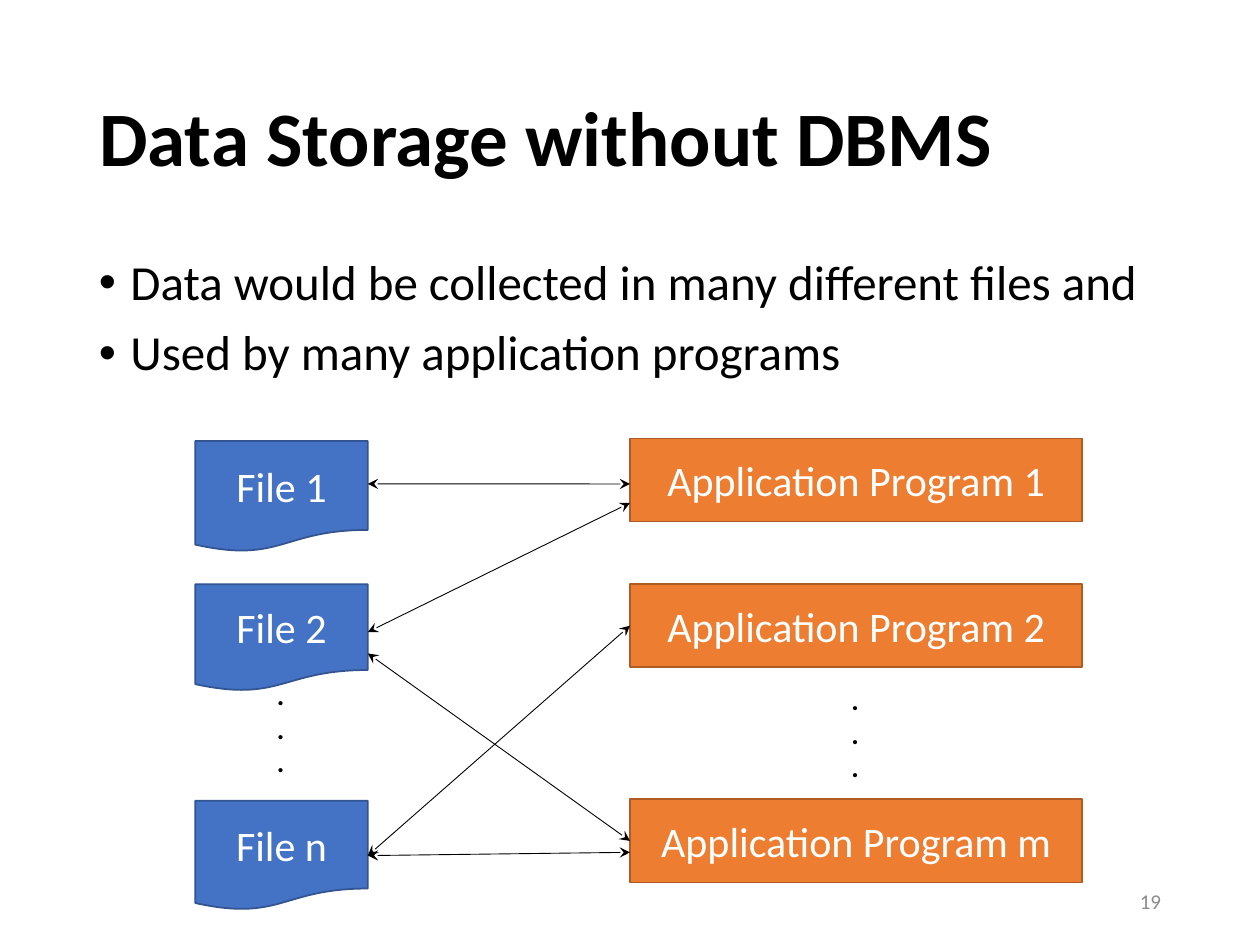
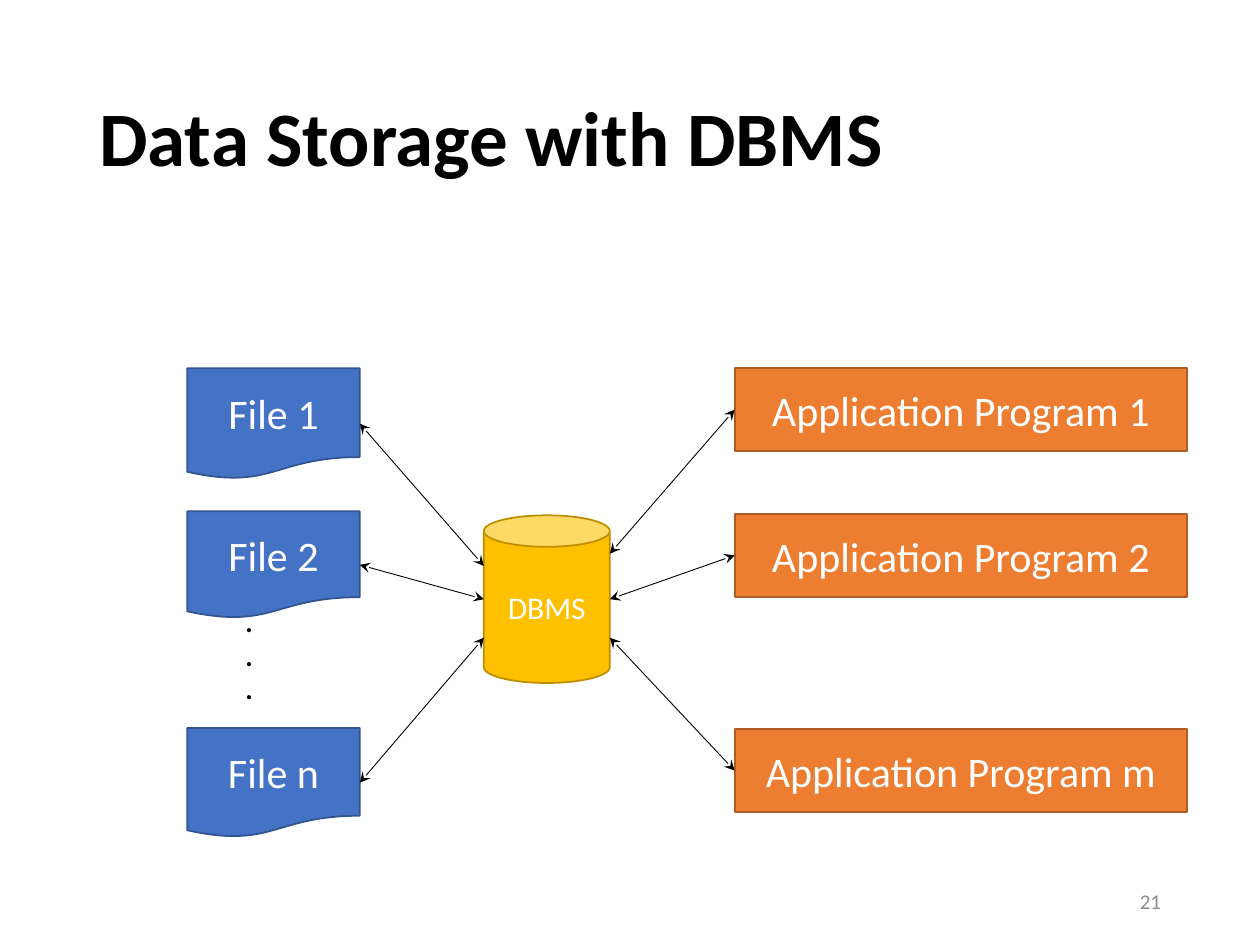
import lxml.etree
import pptx
import pptx.dml.color
import pptx.enum.shapes
import pptx.enum.text
import pptx.oxml.ns
import pptx.util

Pt = pptx.util.Pt
qn = pptx.oxml.ns.qn
KIND = pptx.enum.shapes.MSO_SHAPE
ALIGN = pptx.enum.text.PP_ALIGN
MIDDLE = pptx.enum.text.MSO_ANCHOR.MIDDLE
FIT = pptx.enum.text.MSO_AUTO_SIZE

FONT = "Calibri"
HEX = {
    "ink": "000000", "white": "FFFFFF", "grey": "8C8C8C",
    "file": "4472C4", "file edge": "325491",
    "app": "ED7D31", "app edge": "AF5C24",
    "base": "FFC000", "base edge": "BD8E00",
}
COLOR = {name: pptx.dml.color.RGBColor.from_string(code) for name, code in HEX.items()}

LEFT, RIGHT = 1, 3  # connection sites
FILES = [("File 1", 0, 63.4), ("File 2", 81.8, 61.2), ("File n", 205.6, 62.6)]
APPS = [("Application Program 1", 0), ("Application Program 2", 83.2),
        ("Application Program m", 206.2)]
FILE_W, APP_W, APP_H = 98.6, 258.5, 47.5

# Per slide: title, number, file corner, app corner, corners of the dots
SLIDES = [
    ("Data Storage without DBMS", "19", (111.6, 252), (360, 250.6),
     [(151.2, 383.8), (479.5, 386.6)]),
    ("Data Storage with DBMS", "21", (107, 210.4), (419.8, 210.4),
     [(133.2, 342)]),
]
BULLETS = ["Data would be collected in many different files and",
           "Used by many application programs"]

# App, shift from its middle, file, shift from its middle
DIRECT = [(0, 2.2, 0, -7.2), (0, 13, 1, -3.2), (2, 0, 1, 9),
          (1, 0, 2, 0), (2, 6.5, 2, 0)]
# Side of the database and the shift for each row
HUB = {LEFT: (-19, 0, 22), RIGHT: (-26, 0, 22)}


def write(shape, lines, size, color, bold=False, align=ALIGN.LEFT):
    frame = shape.text_frame
    for i, line in enumerate(lines):
        para = frame.add_paragraph() if i else frame.paragraphs[0]
        para.alignment = align
        run = para.add_run()
        run.text = line
        run.font.name, run.font.size, run.font.bold = FONT, Pt(size), bold
        run.font.color.rgb = COLOR[color]
    return frame


def link(slide, *ends):
    """Draw a two-headed arrow; each end is a shape, a side and a shift down."""
    spots = []
    for shape, side, shift in ends:
        x = shape.left + (shape.width if side == RIGHT else 0)
        spots += [x, shape.top + shape.height // 2 + Pt(shift)]
    arrow = slide.shapes.add_connector(pptx.enum.shapes.MSO_CONNECTOR.STRAIGHT, *spots)
    for (shape, side, shift), join in zip(ends, (arrow.begin_connect, arrow.end_connect)):
        if shift == 0 and shape.auto_shape_type != KIND.CAN:
            join(shape, side)
    arrow.line.color.rgb = COLOR["ink"]
    arrow.line.width = Pt(0.5)
    props = arrow.element.spPr
    for tag in ("a:headEnd", "a:tailEnd"):
        lxml.etree.SubElement(props.find(qn("a:ln")), qn(tag), type="stealth")
    lxml.etree.SubElement(props, qn("a:effectLst"))


deck = pptx.Presentation()
deck.slide_width, deck.slide_height = Pt(720), Pt(540)

for title, number, (file_x, file_y), (app_x, app_y), dots in SLIDES:
    slide = deck.slides.add_slide(deck.slide_layouts[5])
    shapes = slide.shapes
    head = shapes.title
    head.left, head.top, head.width, head.height = Pt(49.5), Pt(28.8), Pt(621), Pt(104.4)
    frame = write(head, [title], 44, "ink", bold=True)
    frame.vertical_anchor, frame.auto_size = MIDDLE, FIT.NONE
    frame.paragraphs[0].line_spacing = 0.9

    direct = title == SLIDES[0][0]
    if direct:
        body = shapes.add_textbox(Pt(49.5), Pt(144), Pt(621), Pt(342.7))
        frame = write(body, BULLETS, 28, "ink")
        frame.word_wrap = True
        for para in frame.paragraphs:
            para.line_spacing, para.space_before = 0.9, Pt(10)
        for props in body.element.iter(qn("a:pPr")):
            props.set("marL", str(Pt(18)))
            props.set("indent", str(Pt(-18)))
            lxml.etree.SubElement(props, qn("a:buFont"), typeface="Arial")
            lxml.etree.SubElement(props, qn("a:buChar"), char="•")

    # Files, programs and the database
    blocks = [("app", KIND.RECTANGLE, name, 24, app_x, app_y + drop, APP_W, APP_H)
              for name, drop in APPS]
    blocks += [("file", KIND.FLOWCHART_DOCUMENT, name, 24, file_x, file_y + drop, FILE_W, tall)
               for name, drop, tall in FILES]
    if not direct:
        blocks.append(("base", KIND.CAN, "DBMS", 18, 276.5, 294.5, 72, 95.8))
    made = {"app": [], "file": [], "base": []}
    for role, kind, label, size, *area in blocks:
        block = shapes.add_shape(kind, *map(Pt, area))
        block.shadow.inherit = False
        block.fill.solid()
        block.fill.fore_color.rgb = COLOR[role]
        block.line.color.rgb = COLOR[role + " edge"]
        block.line.width = Pt(1)
        frame = write(block, [label], size, "white", align=ALIGN.CENTER)
        frame.vertical_anchor = MIDDLE
        made[role].append(block)

    for x, y in dots:
        box = shapes.add_textbox(Pt(x), Pt(y), Pt(19.4), Pt(67.7))
        frame = write(box, "...", 16, "ink", bold=True)
        frame.word_wrap, frame.auto_size = False, FIT.SHAPE_TO_FIT_TEXT

    if direct:
        for app, rise, file, fall in DIRECT:
            link(slide, (made["app"][app], LEFT, rise), (made["file"][file], RIGHT, fall))
    else:
        base = made["base"][0]
        for side, role, far in ((LEFT, "file", RIGHT), (RIGHT, "app", LEFT)):
            for block, shift in zip(made[role], HUB[side]):
                link(slide, (base, side, shift), (block, far, 0))

    foot = shapes.add_textbox(Pt(508.5), Pt(500.5), Pt(162), Pt(28.8))
    frame = write(foot, [number], 12, "grey", align=ALIGN.RIGHT)
    frame.word_wrap, frame.vertical_anchor = True, MIDDLE

deck.save("out.pptx")
